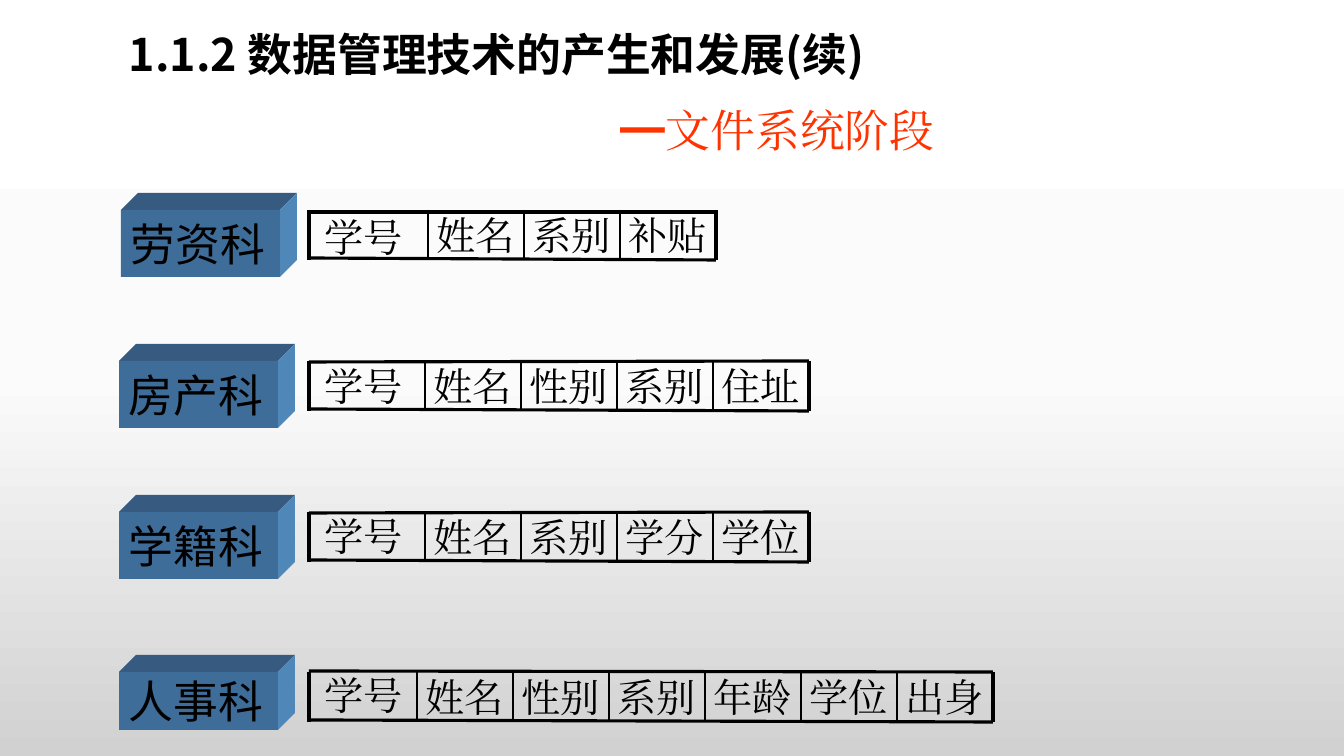
"""Build the slide on the file system stage: four offices and their record layouts."""
import copy
import pptx
import pptx.util
import pptx.dml.color
import pptx.enum.shapes
import pptx.enum.text
import pptx.oxml
import pptx.oxml.ns

TITLE = "1.1.2 数据管理技术的产生和发展(续)"
SUBTITLE = [("━", "Noto Sans CJK SC"), ("文件系统阶段", "Times New Roman")]
KEY_FIELD = "学号"
OFFICES = [
    dict(name="劳资科", left=121, top=210, height=67, first_edge=428, key_shift=2,
         top_rule=(2, 2), fields=["姓名", "系别", "补贴"]),
    dict(name="房产科", left=119, top=361, height=67, first_edge=425, key_shift=0,
         top_rule=(1, 0), fields=["姓名", "性别", "系别", "住址"]),
    dict(name="学籍科", left=119, top=512, height=67, first_edge=425, key_shift=-1,
         top_rule=(1, 0), fields=["姓名", "系别", "学分", "学位"]),
    dict(name="人事科", left=119, top=672, height=58, first_edge=417, key_shift=-2,
         top_rule=(-1, 0), fields=["姓名", "性别", "系别", "年龄", "学位", "出身"]),
]
THEME = dict(
    ink="000000", accent="FF3300", front="3F6D99", roof="365A80", side="4F87B9",
    background=[(0, "FFFFFF"), (0.5, "FBFBFB"), (1, "D1D1D1")],
    heading_size=32, field_size=28, frame_width=2.25, divider_width=1,
    heading_font="Noto Sans CJK SC", field_font="Times New Roman", office_font="Lato",
)
SCALE = 914400 / 100.8
RECORD_LEFT, FIELD_WIDTH, RECORD_HEIGHT = 309, 96, 50
KEY_LEFT, KEY_WIDTH, KEY_HEIGHT = 301, 126, 49
BLOCK_WIDTH, BLOCK_DEPTH = 159, 17
ALIGN = pptx.enum.text.PP_ALIGN
ANCHOR = pptx.enum.text.MSO_ANCHOR


def px(length):
    return pptx.util.Emu(round(length * SCALE))


def rgb(name):
    return pptx.dml.color.RGBColor.from_string(THEME[name])


def write(shape, runs, size, color="ink", bold=False, wrap=True,
          align=ALIGN.LEFT, anchor=ANCHOR.MIDDLE):
    frame = shape.text_frame
    frame.word_wrap = wrap
    frame.vertical_anchor = anchor
    paragraph = frame.paragraphs[0]
    paragraph.alignment = align
    for text, typeface in runs:
        run = paragraph.add_run()
        run.text = text
        run.font.size = pptx.util.Pt(THEME[size])
        run.font.bold = bold
        run.font.color.rgb = rgb(color)
        run.font.name = typeface
        east_asian = pptx.oxml.parse_xml(
            f'<a:ea {pptx.oxml.ns.nsdecls("a")} typeface="{typeface}"/>')
        run.font._element.find(pptx.oxml.ns.qn("a:latin")).addnext(east_asian)
    return paragraph


def add_text(slide, left, top, width, height):
    return slide.shapes.add_textbox(px(left), px(top), px(width), px(height))


def add_field(slide, text, left, top, width, height):
    shape = add_text(slide, left, top, width, height)
    frame = shape.text_frame
    frame.margin_left = frame.margin_right = frame.margin_top = frame.margin_bottom = 0
    write(shape, [(text, THEME["field_font"])], "field_size", align=ALIGN.CENTER)


def add_line(slide, start, end, width):
    line = slide.shapes.add_connector(
        pptx.enum.shapes.MSO_CONNECTOR.STRAIGHT, *map(px, start + end))
    line.line.color.rgb = rgb("ink")
    line.line.width = pptx.util.Pt(THEME[width])
    line._element.spPr.append(
        pptx.oxml.parse_xml(f'<a:effectLst {pptx.oxml.ns.nsdecls("a")}/>'))


def paint(shape, color):
    shape.shadow.inherit = False
    shape.fill.solid()
    shape.fill.fore_color.rgb = rgb(color)
    shape.line.fill.background()


def add_face(slide, points, color):
    corners = [(px(x), px(y)) for x, y in points]
    builder = slide.shapes.build_freeform(*corners[0])
    builder.add_line_segments(corners[1:], close=True)
    paint(builder.convert_to_shape(), color)


def add_block(slide, office):
    left, top = office["left"], office["top"]
    right, bottom, depth = left + BLOCK_WIDTH, top + office["height"], BLOCK_DEPTH
    add_face(slide, [(left, top), (left + depth, top - depth),
                     (right + depth, top - depth), (right, top)], "roof")
    add_face(slide, [(right, top), (right + depth, top - depth),
                     (right + depth, bottom - depth), (right, bottom)], "side")
    front = slide.shapes.add_shape(
        pptx.enum.shapes.MSO_SHAPE.RECTANGLE, px(left), px(top),
        px(BLOCK_WIDTH), px(office["height"]))
    paint(front, "front")
    write(front, [(office["name"], THEME["office_font"])], "heading_size", wrap=False)


def add_record(slide, office):
    top, fields = office["top"], office["fields"]
    bottom = top + RECORD_HEIGHT
    edges = [office["first_edge"] + FIELD_WIDTH * i for i in range(len(fields) + 1)]
    add_field(slide, KEY_FIELD, KEY_LEFT, top + office["key_shift"], KEY_WIDTH, KEY_HEIGHT)
    for field, edge in zip(fields, edges):
        add_field(slide, field, edge, top, FIELD_WIDTH, RECORD_HEIGHT)
        add_line(slide, (edge, top), (edge, bottom), "divider_width")
    for edge in (RECORD_LEFT, edges[-1]):
        add_line(slide, (edge, top), (edge, bottom), "frame_width")
    for start, end in (office["top_rule"], (RECORD_HEIGHT - 2, RECORD_HEIGHT)):
        add_line(slide, (RECORD_LEFT, top + start), (edges[-1], top + end), "frame_width")


def paint_background(slide):
    fill = slide.background.fill
    fill.gradient()
    fill.gradient_angle = 270
    stops = slide.element.find(".//" + pptx.oxml.ns.qn("a:gsLst"))
    stops.append(copy.deepcopy(stops[0]))
    for stop, (position, color) in zip(fill.gradient_stops, THEME["background"]):
        stop.position = position
        stop.color.rgb = pptx.dml.color.RGBColor.from_string(color)


def main():
    presentation = pptx.Presentation()
    presentation.slide_width, presentation.slide_height = px(1344), px(756)
    slide = presentation.slides.add_slide(presentation.slide_layouts[6])
    paint_background(slide)
    title = write(add_text(slide, 119, 27, 771, 60),
                  [(TITLE, THEME["heading_font"])], "heading_size", bold=True)
    title.line_spacing = 0.9
    write(add_text(slide, 611, 98, 334, 64), SUBTITLE, "heading_size",
          color="accent", wrap=False, anchor=ANCHOR.TOP)
    for office in OFFICES:
        add_record(slide, office)
        add_block(slide, office)
    presentation.save("out.pptx")


if __name__ == "__main__":
    main()
